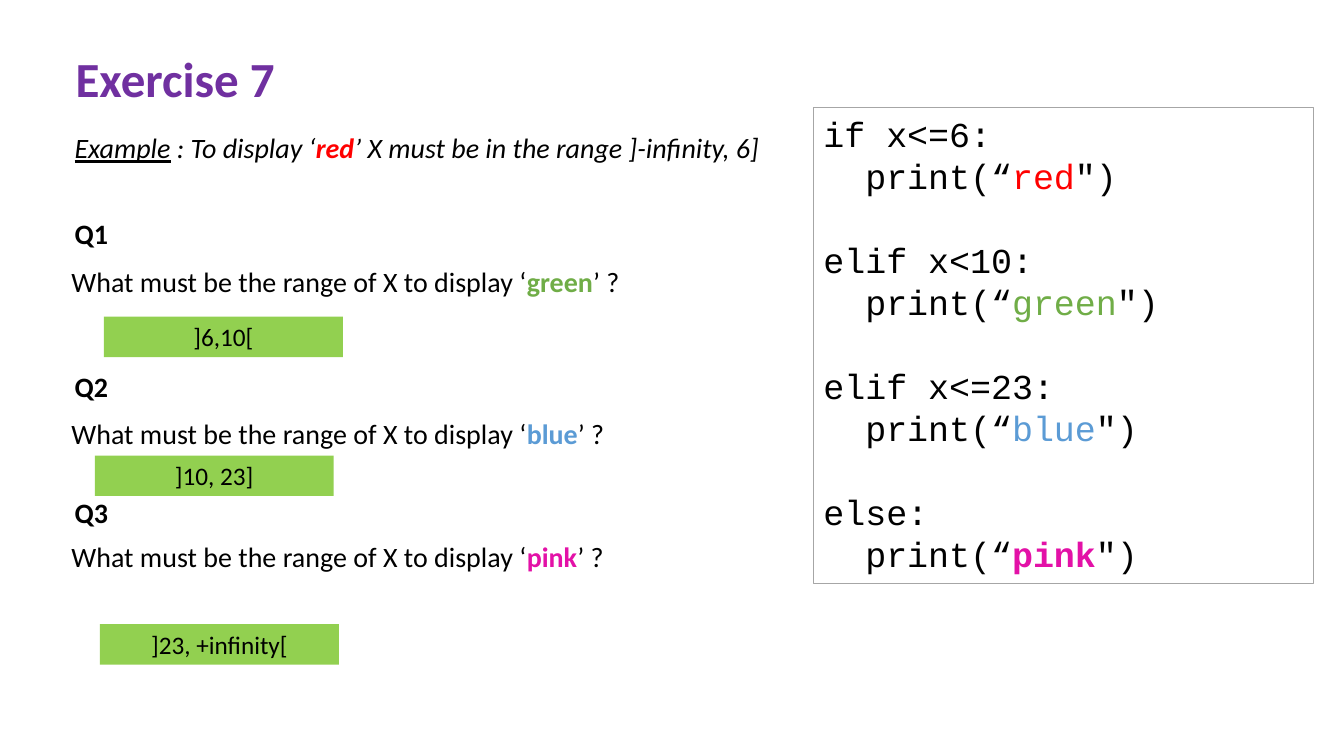
from pptx import Presentation
from pptx.dml.color import RGBColor
from pptx.enum import shapes, text
from pptx.util import Cm, Pt

COLORS = {
    "black": "000000", "title": "7030A0", "answer": "92D050", "border": "A6A6A6",
    "red": "FF0000", "green": "70AD47", "blue": "5B9BD5", "pink": "E311A7",
}

# Content
TITLE = "Exercise 7"
EXAMPLE = ("Example", " : To display ‘", "red", "’ X must be in the range ]-infinity, 6]")
QUESTION = ("What must be the range of X to display ‘", "’ ?")
# label, label top, colour word, question top, answer, answer left, answer top (cm)
QUESTIONS = [
    ("Q1", 5.34, "green", 6.53, "]6,10[", 2.62, 7.98),
    ("Q2", 9.19, "blue", 10.36, "]10, 23]", 2.39, 11.48),
    ("Q3", 12.37, "pink", 13.46, "]23, +infinity[", 2.52, 15.73),
]
BRANCHES = [("if x<=6:", "red"), ("elif x<10:", "green"),
            ("elif x<=23:", "blue"), ("else:", "pink")]
CODE_LINE = Pt(30)


def color(name):
    return RGBColor.from_string(COLORS[name])


def style(paragraph, size, name="Calibri", ink="black"):
    font = paragraph.font
    font.name, font.size = name, Pt(size)
    font.color.rgb = color(ink)


def add_runs(paragraph, before, word, after, bold=True):
    """Write a sentence whose middle word takes the colour it names."""
    paragraph.add_run().text = before
    colored = paragraph.add_run()
    colored.text = word
    colored.font.color.rgb = color(word)
    if bold:
        colored.font.bold = True
    paragraph.add_run().text = after


def add_line(left, top, width):
    frame = slide.shapes.add_textbox(Cm(left), Cm(top), Cm(width), Cm(1.12)).text_frame
    frame.word_wrap = True
    line = frame.paragraphs[0]
    style(line, 20)
    return line


def add_box(left, top, width, height):
    box = slide.shapes.add_shape(shapes.MSO_SHAPE.RECTANGLE,
                                 Cm(left), Cm(top), Cm(width), Cm(height))
    box.shadow.inherit = False
    return box


prs = Presentation()
prs.slide_width, prs.slide_height = Cm(33.87), Cm(19.05)
slide = prs.slides.add_slide(prs.slide_layouts[5])

# Title
title = slide.shapes.title
title.left, title.top, title.width, title.height = Cm(1.65), Cm(1.09), Cm(5.8), Cm(1.75)
title.text_frame.text = TITLE
title.text_frame.word_wrap = True
title.text_frame.vertical_anchor = text.MSO_ANCHOR.TOP
heading = title.text_frame.paragraphs[0]
heading.alignment = text.PP_ALIGN.LEFT
style(heading, 35, ink="title")
heading.font.bold = True

# Code panel
code = add_box(20.5, 2.7, 12.6, 12.01)
code.fill.background()
code.line.color.rgb = color("border")
code.line.width = Pt(0.75)
listing = code.text_frame
listing.word_wrap = True
listing.vertical_anchor = text.MSO_ANCHOR.TOP
listing.margin_top = Cm(0.13)
for i, (condition, word) in enumerate(BRANCHES):
    test = listing.add_paragraph() if i else listing.paragraphs[0]
    test.add_run().text = condition
    if i:
        test.space_before = CODE_LINE
    output = listing.add_paragraph()
    add_runs(output, "  print(“", word, "\")", bold=word == "pink")
    for line in (test, output):
        line.alignment = text.PP_ALIGN.LEFT
        line.line_spacing = CODE_LINE
        style(line, 25, "Courier New")

# Worked example
example = add_line(1.63, 3.17, 18.2)
example.font.italic = True
lead, *sentence = EXAMPLE
underlined = example.add_run()
underlined.text = lead
underlined.font.underline = True
add_runs(example, *sentence)

# Questions and answers
for label, label_top, word, question_top, answer, answer_left, answer_top in QUESTIONS:
    number = add_line(1.63, label_top, 1.7)
    number.add_run().text = label
    number.font.bold = True

    add_runs(add_line(1.55, question_top, 15), QUESTION[0], word, QUESTION[1])

    solution = add_box(answer_left, answer_top, 6.02, 1.02)
    solution.fill.solid()
    solution.fill.fore_color.rgb = color("answer")
    solution.line.fill.background()
    solution.text_frame.text = answer
    solution.text_frame.paragraphs[0].alignment = text.PP_ALIGN.CENTER
    style(solution.text_frame.paragraphs[0], 18)

prs.save("out.pptx")
